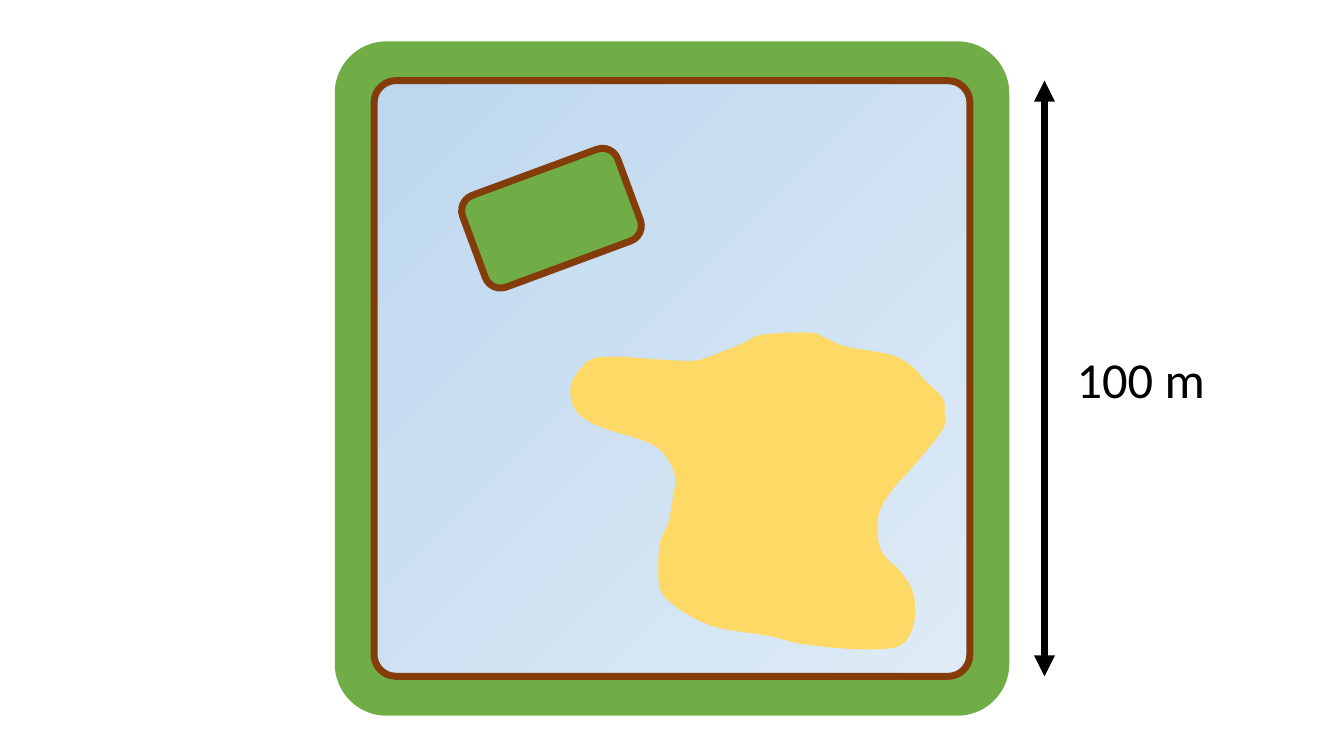
from dataclasses import dataclass
from itertools import chain

from lxml import etree
from pptx import Presentation
from pptx.dml.color import RGBColor
from pptx.enum.shapes import MSO_CONNECTOR, MSO_SHAPE
from pptx.enum.text import MSO_AUTO_SIZE
from pptx.oxml.ns import qn
from pptx.shapes.autoshape import Shape
from pptx.slide import Slide
from pptx.util import Inches, Pt

ROUNDED = MSO_SHAPE.ROUNDED_RECTANGLE
STRAIGHT = MSO_CONNECTOR.STRAIGHT
FIT_SHAPE = MSO_AUTO_SIZE.SHAPE_TO_FIT_TEXT

COLOURS = {
    "grass": "70AD47",
    "bank": "843C0B",
    "water_deep": "BDD7EE",
    "water_pale": "DEEBF7",
    "sand": "FFD966",
    "ink": "000000",
}
BORDER = Pt(5)
STEPS_PER_BEND = 6

Point = tuple[float, float]


@dataclass(frozen=True)
class Area:
    left: float
    top: float
    width: float
    height: float
    corner: float
    fill: str
    banked: bool = True
    rotation: float = 0

    @property
    def bottom(self) -> float:
        return self.top + self.height

    def inset(self, margin: float, corner: float, fill: str) -> "Area":
        return Area(self.left + margin, self.top + margin,
                    self.width - 2 * margin, self.height - 2 * margin, corner, fill)


MEADOW = Area(3.32, 0.41, 6.69, 6.69, 0.077, "grass", banked=False)
POND = MEADOW.inset(0.39, 0.037, "water_deep")
ISLAND = Area(4.65, 1.68, 1.64, 0.97, 0.167, "grass", rotation=339.7)

# Bends of the sandbank's shore in inches on the slide, in order around it
SHORE_BENDS: dict[str, list[Point]] = {
    "west shore": [(6.68, 4.9), (6.63, 5.18), (6.55, 5.37), (6.53, 5.6),
                   (6.55, 5.85), (6.69, 6.01), (6.94, 6.16)],
    "south shore": [(7.18, 6.24), (7.63, 6.31), (7.96, 6.39), (8.47, 6.44),
                    (8.84, 6.43)],
    "south-east spit": [(8.99, 6.35), (9.07, 6.16), (9.06, 5.89), (8.94, 5.68)],
    "east bay": [(8.78, 5.52), (8.71, 5.36), (8.72, 5.09), (8.85, 4.86),
                 (9.09, 4.59)],
    "east head": [(9.35, 4.26), (9.37, 4.1), (9.35, 3.95), (9.18, 3.78),
                  (9.05, 3.64), (8.84, 3.52)],
    "north shore": [(8.4, 3.44), (8.18, 3.35), (8.03, 3.3), (7.56, 3.32),
                    (7.38, 3.4), (7.03, 3.54), (6.84, 3.58), (6.44, 3.56)],
    "west spit": [(6.18, 3.54), (5.91, 3.55), (5.78, 3.63), (5.66, 3.83),
                  (5.71, 4.07), (5.94, 4.23), (6.43, 4.39), (6.62, 4.55),
                  (6.7, 4.75)],
}


def colour(name: str) -> RGBColor:
    return RGBColor.from_string(COLOURS[name])


def spline(before: float, start: float, end: float, after: float, t: float) -> float:
    """Catmull-Rom value between start (t = 0) and end (t = 1)."""
    return 0.5 * (2 * start + (end - before) * t
                  + (2 * before - 5 * start + 4 * end - after) * t ** 2
                  + (3 * start - before - 3 * end + after) * t ** 3)


def smooth_loop(bends: list[Point]) -> list[Point]:
    """Points of a closed curve that runs through every bend."""
    curve = []
    for i in range(len(bends)):
        neighbours = [bends[(i + offset) % len(bends)] for offset in (-1, 0, 1, 2)]
        xs, ys = zip(*neighbours)
        for step in range(STEPS_PER_BEND):
            t = step / STEPS_PER_BEND
            curve.append((spline(*xs, t), spline(*ys, t)))
    return curve


def fill_flat(shape: Shape, name: str) -> None:
    shape.shadow.inherit = False
    shape.fill.solid()
    shape.fill.fore_color.rgb = colour(name)
    shape.line.fill.background()


def fill_water(shape: Shape) -> None:
    """Shade from the deep top left corner to the pale bottom right."""
    shape.fill.gradient()
    for stop, name in zip(shape.fill.gradient_stops, ("water_deep", "water_pale")):
        stop.color.rgb = colour(name)
    gradient = shape._element.spPr.find(qn("a:gradFill"))
    gradient.remove(gradient.find(qn("a:lin")))
    radial = etree.SubElement(gradient, qn("a:path"), {"path": "circle"})
    etree.SubElement(radial, qn("a:fillToRect"), {"r": "100000", "b": "100000"})


def draw_area(slide: Slide, area: Area) -> Shape:
    shape = slide.shapes.add_shape(
        ROUNDED, Inches(area.left), Inches(area.top),
        Inches(area.width), Inches(area.height))
    shape.adjustments[0] = area.corner
    shape.rotation = area.rotation
    fill_flat(shape, area.fill)
    if area.banked:
        shape.line.color.rgb = colour("bank")
        shape.line.width = BORDER
    return shape


def draw_sandbank(slide: Slide) -> None:
    bends = list(chain.from_iterable(SHORE_BENDS.values()))
    start, *others = [(Inches(x), Inches(y)) for x, y in smooth_loop(bends)]
    builder = slide.shapes.build_freeform(*start)
    builder.add_line_segments(others, close=True)
    fill_flat(builder.convert_to_shape(), "sand")


def draw_scale_arrow(slide: Slide, x: float, top: float, bottom: float) -> None:
    arrow = slide.shapes.add_connector(
        STRAIGHT, Inches(x), Inches(top), Inches(x), Inches(bottom))
    arrow.line.color.rgb = colour("ink")
    arrow.line.width = BORDER
    outline = arrow.line._get_or_add_ln()
    for end in ("a:headEnd", "a:tailEnd"):
        etree.SubElement(outline, qn(end), {"type": "triangle"})
    etree.SubElement(arrow._element.spPr, qn("a:effectLst"))


def write_scale_label(slide: Slide, text: str) -> None:
    label = slide.shapes.add_textbox(
        Inches(10.58), Inches(3.4), Inches(1.49), Inches(0.71))
    label.text_frame.word_wrap = False
    label.text_frame.auto_size = FIT_SHAPE
    run = label.text_frame.paragraphs[0].add_run()
    run.text = text
    run.font.name = "Calibri"
    run.font.size = Pt(36)
    run.font.color.rgb = colour("ink")


def main() -> None:
    presentation = Presentation()
    presentation.slide_width = Inches(13.33)
    presentation.slide_height = Inches(7.5)
    slide = presentation.slides.add_slide(presentation.slide_layouts[6])
    draw_area(slide, MEADOW)
    fill_water(draw_area(slide, POND))
    draw_area(slide, ISLAND)
    write_scale_label(slide, "100 m")
    draw_scale_arrow(slide, 10.36, POND.top, POND.bottom)
    draw_sandbank(slide)
    presentation.save("out.pptx")


if __name__ == "__main__":
    main()
